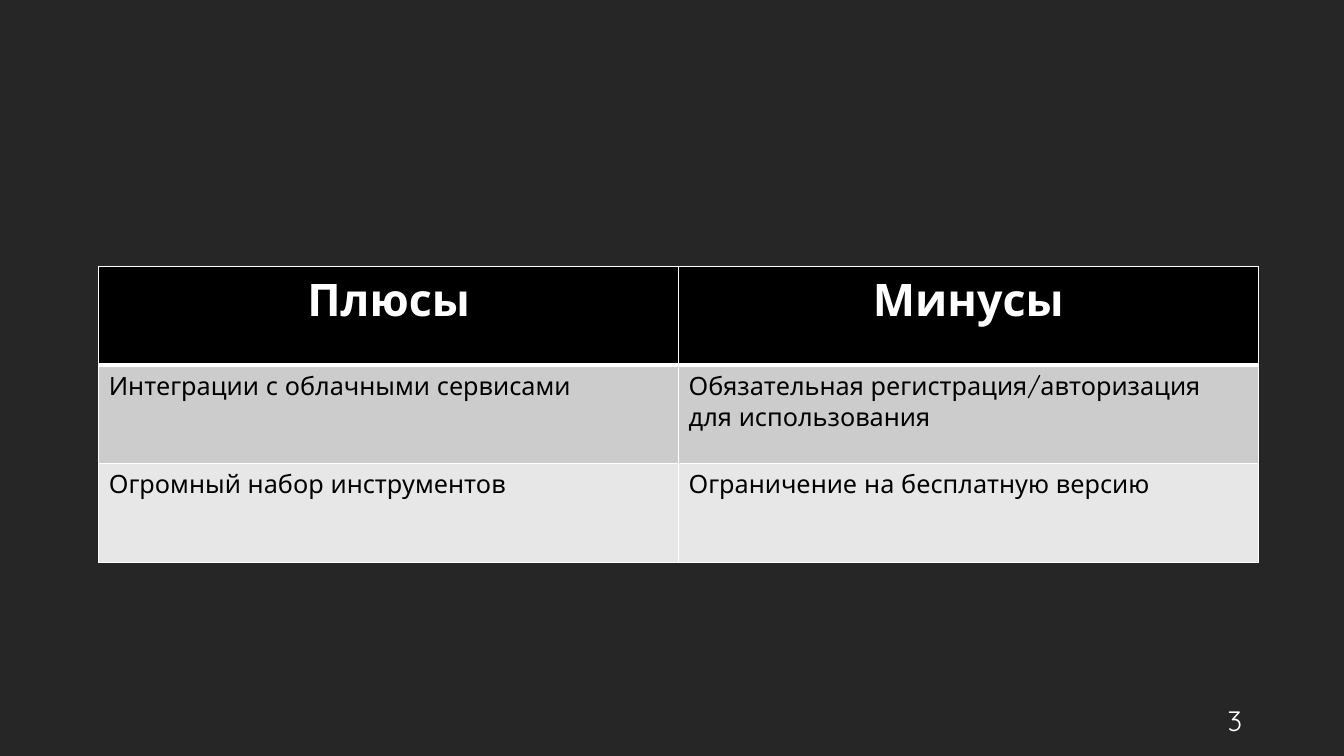
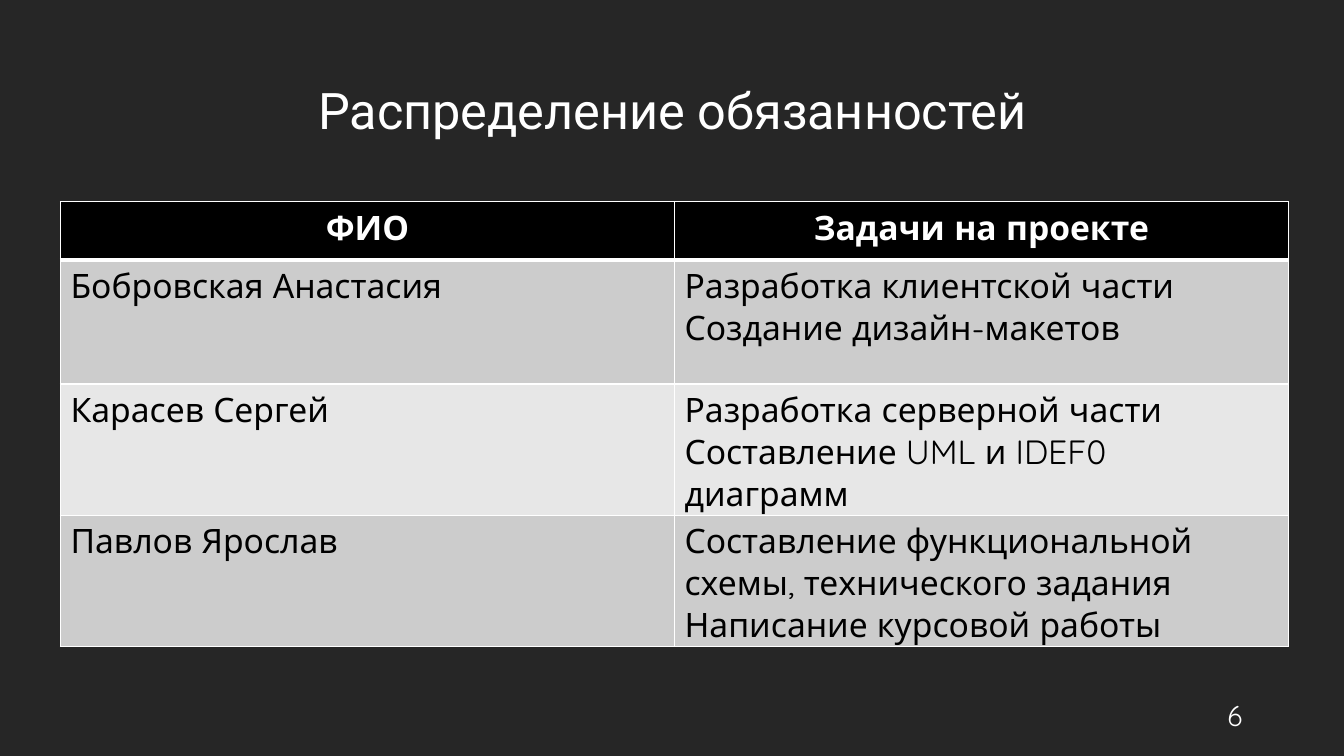
from dataclasses import dataclass

from lxml import etree
from pptx import Presentation
from pptx.dml.color import RGBColor
from pptx.enum.text import MSO_ANCHOR, PP_ALIGN
from pptx.oxml.ns import qn
from pptx.util import Emu, Pt

LEFT, CENTER, RIGHT = PP_ALIGN.LEFT, PP_ALIGN.CENTER, PP_ALIGN.RIGHT
MIDDLE = MSO_ANCHOR.MIDDLE
BLANK_LAYOUT = 6
EMU_PER_PX = 9144


@dataclass(frozen=True)
class Theme:
    """Colours, fonts and type sizes shared by the slides."""

    background: str = "262626"
    light: str = "FFFFFF"
    dark: str = "000000"
    bands: tuple = ("CCCCCC", "E7E7E7")
    title_font: str = "Roboto"
    body_font: str = "Quicksand"
    title_size: int = 36
    number_size: int = 20
    border: int = 1
    header_rule: int = 3


THEME = Theme()

PROS_AND_CONS = [
    ("Плюсы", "Минусы"),
    ("Интеграции с облачными сервисами",
     "Обязательная регистрация/авторизация для использования"),
    ("Огромный набор инструментов", "Ограничение на бесплатную версию"),
]

DUTIES = [
    ("ФИО", "Задачи на проекте"),
    ("Бобровская Анастасия",
     "Разработка клиентской части Создание дизайн-макетов"),
    ("Карасев Сергей",
     "Разработка серверной части\nСоставление UML и IDEF0 диаграмм"),
    ("Павлов Ярослав",
     "Составление функциональной схемы, технического задания\n"
     "Написание курсовой работы"),
]


def px(length):
    """Turn a length in px into EMU."""
    return Emu(length * EMU_PER_PX)


def write_text(frame, text, size, color, font, align=LEFT, bold=False):
    """Fill a text frame with evenly styled paragraphs."""
    frame.text = text
    for paragraph in frame.paragraphs:
        paragraph.alignment = align
        paragraph.font.size = Pt(size)
        paragraph.font.name = font
        paragraph.font.bold = bold
        paragraph.font.color.rgb = RGBColor.from_string(color)


def add_text(slide, box, text, size, font, align):
    """Add a wrapped, vertically centred text box and return its frame."""
    frame = slide.shapes.add_textbox(*map(px, box)).text_frame
    frame.word_wrap = True
    frame.vertical_anchor = MIDDLE
    write_text(frame, text, size, THEME.light, font, align)
    return frame


def add_slide(presentation, number, number_top):
    """Add a dark slide with its number at the lower right."""
    slide = presentation.slides.add_slide(
        presentation.slide_layouts[BLANK_LAYOUT])
    fill = slide.background.fill
    fill.solid()
    fill.fore_color.rgb = RGBColor.from_string(THEME.background)
    add_text(slide, (942, number_top, 300, 40), str(number),
             THEME.number_size, THEME.body_font, RIGHT)
    return slide


def add_title(slide, text):
    """Add the centred slide title."""
    frame = add_text(slide, (92, 40, 1150, 145), text,
                     THEME.title_size, THEME.title_font, CENTER)
    frame.paragraphs[0].line_spacing = 0.9


def set_borders(cell, top, bottom):
    """Draw light borders around a cell with the given rule widths."""
    properties = cell._tc.get_or_add_tcPr()
    widths = {"lnL": THEME.border, "lnR": THEME.border,
              "lnT": top, "lnB": bottom}
    for tag, width in widths.items():
        line = etree.SubElement(properties, qn(f"a:{tag}"), w=str(Pt(width)))
        fill = etree.SubElement(line, qn("a:solidFill"))
        etree.SubElement(fill, qn("a:srgbClr"), val=THEME.light)


def style_cell(cell, row, text, header_size, body_size):
    """Write one cell as a header or as part of a banded row."""
    header = row == 0
    set_borders(cell,
                THEME.header_rule if row == 1 else THEME.border,
                THEME.header_rule if header else THEME.border)
    color = THEME.dark if header else THEME.bands[(row - 1) % 2]
    cell.fill.solid()
    cell.fill.fore_color.rgb = RGBColor.from_string(color)
    write_text(cell.text_frame, text,
               header_size if header else body_size,
               THEME.light if header else THEME.dark,
               THEME.body_font, CENTER if header else LEFT, header)


def add_banded_table(slide, rows, origin, width, header_height, row_height,
                     header_size, body_size):
    """Add a table with equal columns, a dark header and banded rows."""
    columns = len(rows[0])
    height = header_height + row_height * (len(rows) - 1)
    table = slide.shapes.add_table(
        len(rows), columns, *map(px, (*origin, width, height))).table
    table.first_row = table.horz_banding = False
    for column in table.columns:
        column.width = px(width // columns)
    for index, texts in enumerate(rows):
        table.rows[index].height = px(row_height if index else header_height)
        for column, text in enumerate(texts):
            style_cell(table.cell(index, column), index, text,
                       header_size, body_size)


def main():
    """Build and save the presentation."""
    presentation = Presentation()
    presentation.slide_width = px(1333)
    presentation.slide_height = px(750)

    slide = add_slide(presentation, 3, 695)
    add_banded_table(slide, PROS_AND_CONS, (98, 264), 1150, 98, 98, 32, 18)

    slide = add_slide(presentation, 6, 690)
    add_title(slide, "Распределение обязанностей")
    add_banded_table(slide, DUTIES, (60, 200), 1218, 58, 123, 24, 24)

    presentation.save("out.pptx")


if __name__ == "__main__":
    main()
